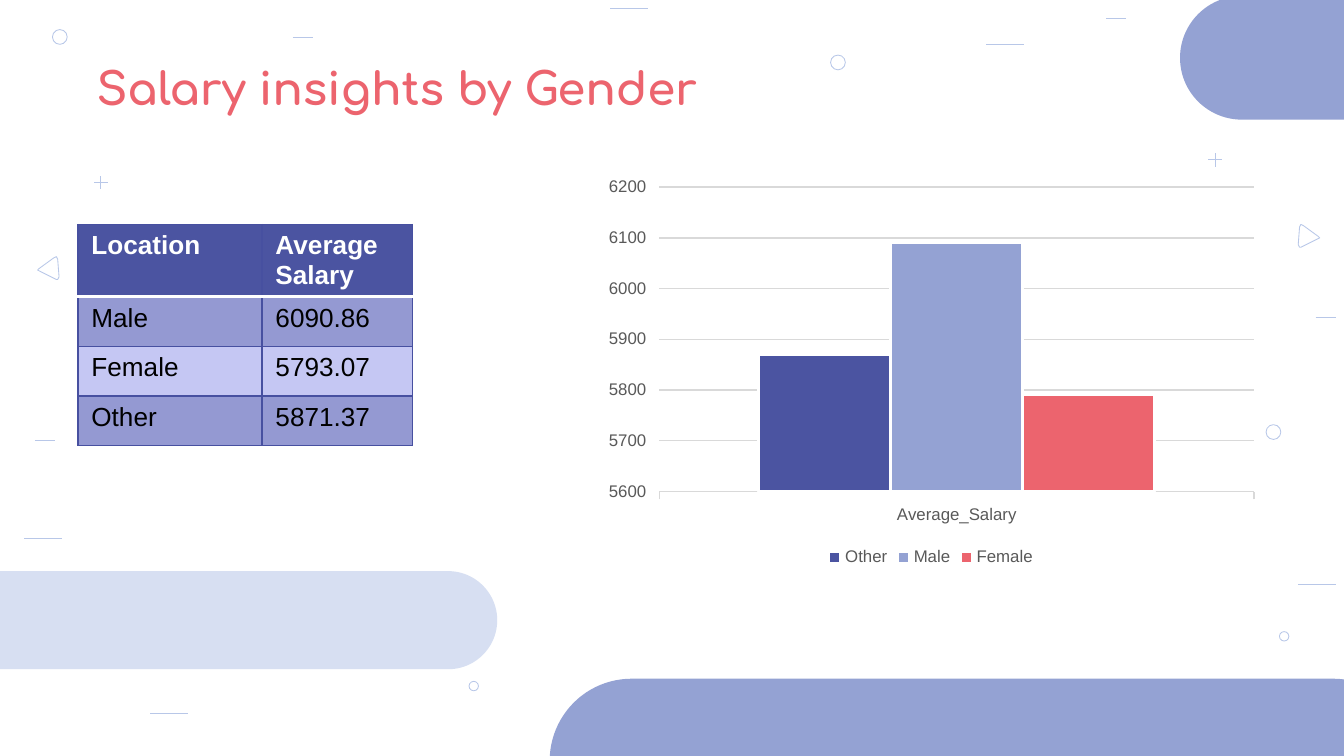
from lxml import etree
from pptx import Presentation
from pptx.chart import data as chart_data
from pptx.dml.color import RGBColor
from pptx.enum import chart as chart_enum, shapes, text
from pptx.oxml import ns
from pptx.util import Inches, Pt

WHITE = RGBColor(0xFF, 0xFF, 0xFF)
BLACK = RGBColor(0, 0, 0)
GRAY = RGBColor(0x59, 0x59, 0x59)
GRID = RGBColor(0xD9, 0xD9, 0xD9)
INDIGO = RGBColor(0x4B, 0x54, 0xA1)
BORDER = RGBColor(0x47, 0x50, 0xA0)
BAND_DARK = RGBColor(0x94, 0x99, 0xD2)
BAND_LIGHT = RGBColor(0xC5, 0xC7, 0xF3)
PERIWINKLE = RGBColor(0x94, 0xA2, 0xD3)
PALE = RGBColor(0xD7, 0xDF, 0xF2)
OUTLINE = RGBColor(0xB8, 0xC7, 0xE8)
CORAL = RGBColor(0xEC, 0x64, 0x6E)

TITLE = "Salary insights by Gender"
ROWS = [("Location", "Average Salary"), ("Male", "6090.86"),
        ("Female", "5793.07"), ("Other", "5871.37")]
COLUMN_WIDTHS = [1.37, 1.12]
ROW_HEIGHTS = [0.51, 0.37, 0.37, 0.37]
CATEGORY = "Average_Salary"
SERIES = [("Other", 5870, INDIGO), ("Male", 6090, PERIWINKLE), ("Female", 5790, CORAL)]

PILLS = [(4.09, 5.05, 6.44, 1.22, PERIWINKLE), (8.78, -0.03, 2.32, 0.92, PERIWINKLE),
         (-0.73, 4.25, 4.43, 0.73, PALE)]
CIRCLES = [(0.39, 0.22, 0.11), (9.42, 3.16, 0.11), (6.18, 0.41, 0.11),
           (3.49, 5.07, 0.07), (9.52, 4.7, 0.07)]
LONG_DASHES = [(7.34, 0.33), (1.12, 5.31), (0.18, 4.01), (9.66, 4.35), (4.54, 0.06)]
SHORT_DASHES = [(8.23, 0.14), (0.26, 3.28), (9.79, 2.36), (2.18, 0.28)]
PLUSES = [(0.75, 1.36), (9.04, 1.19)]
TRIANGLE = [(0.29, 2), (0.4, 1.92), (0.42, 1.91), (0.43, 1.93),
            (0.44, 2.06), (0.43, 2.08), (0.42, 2.08), (0.3, 2.02), (0.28, 2.01)]
TRIANGLES = [TRIANGLE, [(10.1 - x, y - 0.24) for x, y in TRIANGLE]]


def outline(shape):
    shape.shadow.inherit = False
    shape.fill.background()
    shape.line.color.rgb = OUTLINE
    shape.line.width = Pt(0.45)


def add_line(page, *ends):
    line = page.shapes.add_connector(shapes.MSO_CONNECTOR.STRAIGHT, *map(Inches, ends))
    line.line.color.rgb = OUTLINE
    line.line.width = Pt(0.45)
    etree.SubElement(line._element.spPr, ns.qn("a:effectLst"))


def add_decor(page):
    for *place, color in PILLS:
        pill = page.shapes.add_shape(shapes.MSO_SHAPE.ROUNDED_RECTANGLE, *map(Inches, place))
        pill.adjustments[0] = 0.5
        pill.shadow.inherit = False
        pill.fill.solid()
        pill.fill.fore_color.rgb = color
        pill.line.fill.background()
    for x, y, size in CIRCLES:
        outline(page.shapes.add_shape(shapes.MSO_SHAPE.OVAL, *map(Inches, (x, y, size, size))))
    for dashes, length in ((LONG_DASHES, 0.28), (SHORT_DASHES, 0.15)):
        for x, y in dashes:
            add_line(page, x, y, x + length, y)
    for x, y in PLUSES:
        add_line(page, x - 0.05, y, x + 0.05, y)
        add_line(page, x, y - 0.05, x, y + 0.05)
    for triangle in TRIANGLES:
        points = [(Inches(x), Inches(y)) for x, y in triangle]
        builder = page.shapes.build_freeform(*points[0])
        builder.add_line_segments(points[1:], close=True)
        outline(builder.convert_to_shape())


def add_title(page):
    box = page.shapes.add_textbox(*map(Inches, (0.62, 0.34, 5.16, 0.63)))
    frame = box.text_frame
    frame.word_wrap = True
    frame.vertical_anchor = text.MSO_ANCHOR.MIDDLE
    frame.margin_left = frame.margin_right = Inches(0.1)
    frame.margin_top = frame.margin_bottom = Inches(0.1)
    para = frame.paragraphs[0]
    para.text = TITLE
    style_font(para.font, 24, CORAL, "Comfortaa", True)


def style_font(font, size, color, name="Arial", bold=False):
    font.size = Pt(size)
    font.color.rgb = color
    font.name = name
    font.bold = bold


def set_border(cell, index, side, color, width):
    line = etree.Element(ns.qn("a:" + side), w=str(Pt(width)))
    fill = etree.SubElement(line, ns.qn("a:solidFill"))
    etree.SubElement(fill, ns.qn("a:srgbClr"), val=str(color))
    cell._tc.get_or_add_tcPr().insert(index, line)


def add_salary_table(page):
    table = page.shapes.add_table(len(ROWS), len(COLUMN_WIDTHS),
                                  *map(Inches, (0.58, 1.67, 2.49, 1.62))).table
    for column, width in zip(table.columns, COLUMN_WIDTHS):
        column.width = Inches(width)
    for r, (row, height) in enumerate(zip(ROWS, ROW_HEIGHTS)):
        table.rows[r].height = Inches(height)
        for c, label in enumerate(row):
            cell = table.cell(r, c)
            cell.text = label
            cell.margin_bottom = Inches(0.05 if r else 0.02)
            style_font(cell.text_frame.paragraphs[0].font, 14,
                       BLACK if r else WHITE, bold=r == 0)
            cell.fill.solid()
            cell.fill.fore_color.rgb = (INDIGO, BAND_DARK, BAND_LIGHT, BAND_DARK)[r]
            for index, side in enumerate(("lnL", "lnR", "lnT", "lnB")):
                under_header = (r, side) in ((0, "lnB"), (1, "lnT"))
                set_border(cell, index, side, *((WHITE, 2) if under_header else (BORDER, 0.75)))


def add_salary_chart(page):
    content = chart_data.CategoryChartData()
    content.categories = [CATEGORY]
    for name, value, _ in SERIES:
        content.add_series(name, [value])
    chart = page.shapes.add_chart(chart_enum.XL_CHART_TYPE.COLUMN_CLUSTERED,
                                  *map(Inches, (4.43, 1.26, 5, 3)), content).chart
    chart.has_title = False
    style_font(chart.font, 10, BLACK)
    chart.has_legend = True
    chart.legend.position = chart_enum.XL_LEGEND_POSITION.BOTTOM
    chart.legend.include_in_layout = False
    style_font(chart.legend.font, 9, GRAY)
    plot = chart.plots[0]
    plot.vary_by_categories = False
    plot.gap_width = 150
    plot.overlap = 0
    for series, (_, _, color) in zip(plot.series, SERIES):
        series.format.fill.solid()
        series.format.fill.fore_color.rgb = color
        series.format.line.color.rgb = WHITE
        series.format.line.width = Pt(1.5)
    values, categories = chart.value_axis, chart.category_axis
    for axis in (values, categories):
        style_font(axis.tick_labels.font, 9, GRAY)
        axis.major_tick_mark = chart_enum.XL_TICK_MARK.OUTSIDE
    values.minimum_scale, values.maximum_scale, values.major_unit = 5600, 6200, 100
    values.format.line.fill.background()
    for line in (values.major_gridlines.format.line, categories.format.line):
        line.color.rgb = GRID
        line.width = Pt(0.75)


def main():
    deck = Presentation()
    deck.slide_width = Inches(10)
    deck.slide_height = deck.slide_width * 9 // 16
    page = deck.slides.add_slide(deck.slide_layouts[6])
    add_decor(page)
    add_title(page)
    add_salary_table(page)
    add_salary_chart(page)
    deck.save("out.pptx")


if __name__ == "__main__":
    main()
